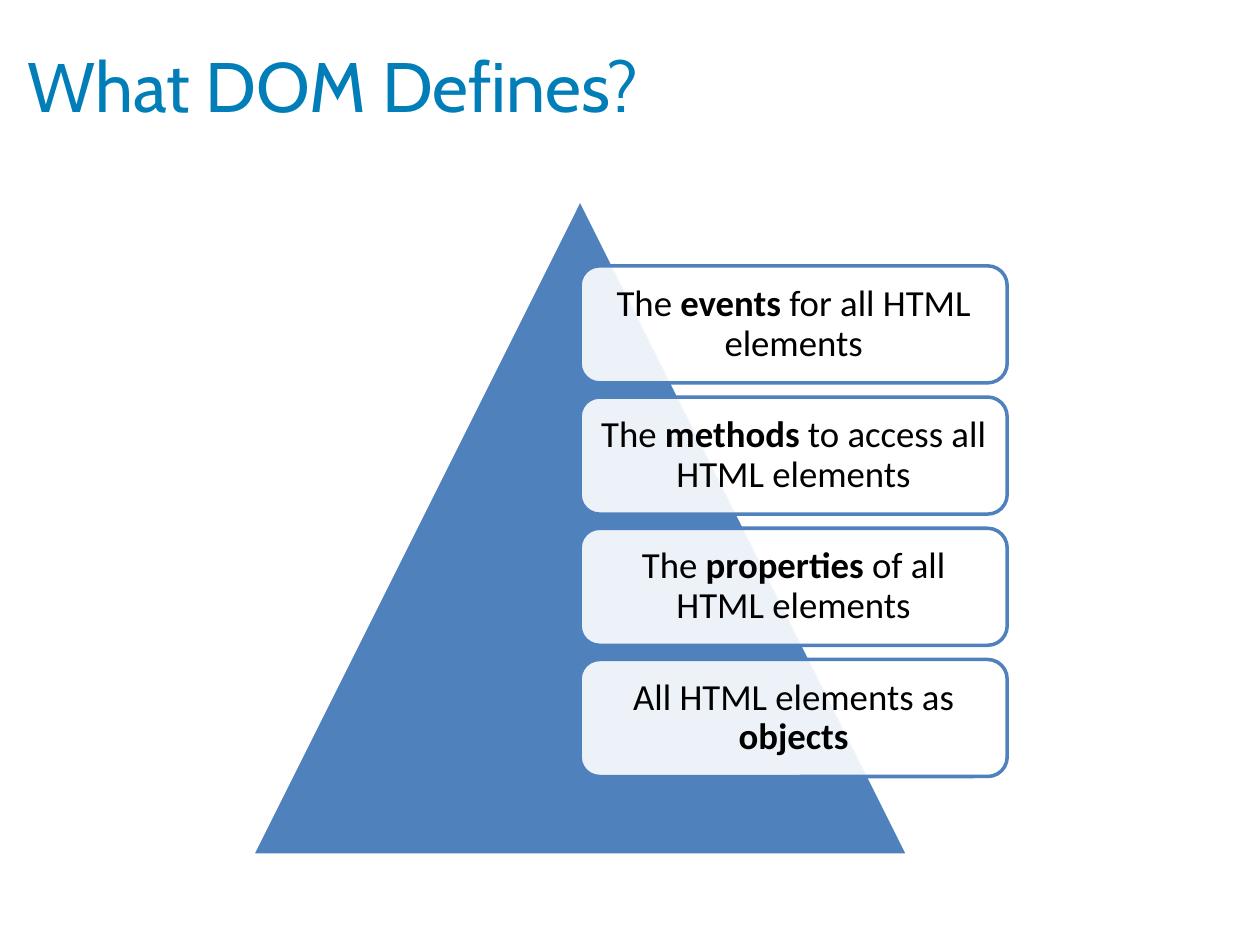
"""Build the slide on what DOM defines: a pyramid with four labelled boxes."""
from lxml import etree
from pptx import Presentation
from pptx.dml.color import RGBColor
from pptx.enum.shapes import MSO_SHAPE
from pptx.enum.text import MSO_ANCHOR, PP_ALIGN
from pptx.oxml.ns import qn
from pptx.util import Cm, Pt

TRIANGLE, ROUNDED = MSO_SHAPE.ISOSCELES_TRIANGLE, MSO_SHAPE.ROUNDED_RECTANGLE
MIDDLE = MSO_ANCHOR.MIDDLE
LEFT, CENTER = PP_ALIGN.LEFT, PP_ALIGN.CENTER

TITLE = "What DOM Defines?"
BOXES = [
    ("The ", "events", " for all HTML elements"),
    ("The ", "methods", " to access all HTML elements"),
    ("The ", "properties", " of all HTML elements"),
    ("All HTML elements as ", "objects", ""),
]
THEME = {
    "blue": RGBColor(0x4F, 0x81, 0xBD),
    "white": RGBColor(0xFF, 0xFF, 0xFF),
    "title": {"name": "Cabin", "size": Pt(40), "color": RGBColor(0x01, 0x7E, 0xB8)},
    "body": {"name": "Calibri", "size": Pt(21), "color": RGBColor(0, 0, 0)},
    "line": Pt(2),
    "opacity": 90,
}
TITLE_AT = (0.3, 0.43, 24.8, 2.54)
SIDE, PYRAMID_LEFT, PYRAMID_TOP = 13.23, 5.08, 4.01
BOX_W, BOX_H, BOX_TOP, PITCH, INSET = 8.61, 2.36, 5.36, 2.645, 0.23


def add_run(p, text, style, bold=False):
    r = p.add_run()
    r.text = text
    r.font.bold = bold
    for key, value in style.items():
        if key == "color":
            r.font.color.rgb = value
        else:
            setattr(r.font, key, value)


def add_block(shapes, kind, at, fill, line):
    sp = shapes.add_shape(kind, *map(Cm, at))
    sp.shadow.inherit = False
    sp.fill.solid()
    sp.fill.fore_color.rgb = fill
    sp.line.color.rgb = line
    sp.line.width = THEME["line"]
    return sp


def add_box(shapes, index, parts):
    at = (PYRAMID_LEFT + SIDE / 2, BOX_TOP + index * PITCH, BOX_W, BOX_H)
    sp = add_block(shapes, ROUNDED, at, THEME["white"], THEME["blue"])
    color = sp.fill._xPr.find(qn("a:solidFill"))[0]
    etree.SubElement(color, qn("a:alpha"), val=str(THEME["opacity"] * 1000))
    tf = sp.text_frame
    tf.word_wrap = True
    tf.vertical_anchor = MIDDLE
    for side in ("left", "right", "top", "bottom"):
        setattr(tf, f"margin_{side}", Cm(INSET))
    p = tf.paragraphs[0]
    p.alignment = CENTER
    p.line_spacing = 0.9
    for i, text in enumerate(parts):
        if text:
            add_run(p, text, THEME["body"], bold=i == 1)


def main():
    prs = Presentation()
    prs.slide_width, prs.slide_height = Cm(25.4), Cm(19.05)
    s = prs.slides.add_slide(prs.slide_layouts[5])
    title = s.shapes.title
    for name, value in zip(("left", "top", "width", "height"), TITLE_AT):
        setattr(title, name, Cm(value))
    title.text_frame.vertical_anchor = MIDDLE
    p = title.text_frame.paragraphs[0]
    p.alignment = LEFT
    add_run(p, TITLE, THEME["title"])

    shapes = s.shapes.add_group_shape().shapes
    at = (PYRAMID_LEFT, PYRAMID_TOP, SIDE, SIDE)
    add_block(shapes, TRIANGLE, at, THEME["blue"], THEME["white"])
    for index, parts in enumerate(BOXES):
        add_box(shapes, index, parts)
    prs.save("out.pptx")


if __name__ == "__main__":
    main()
